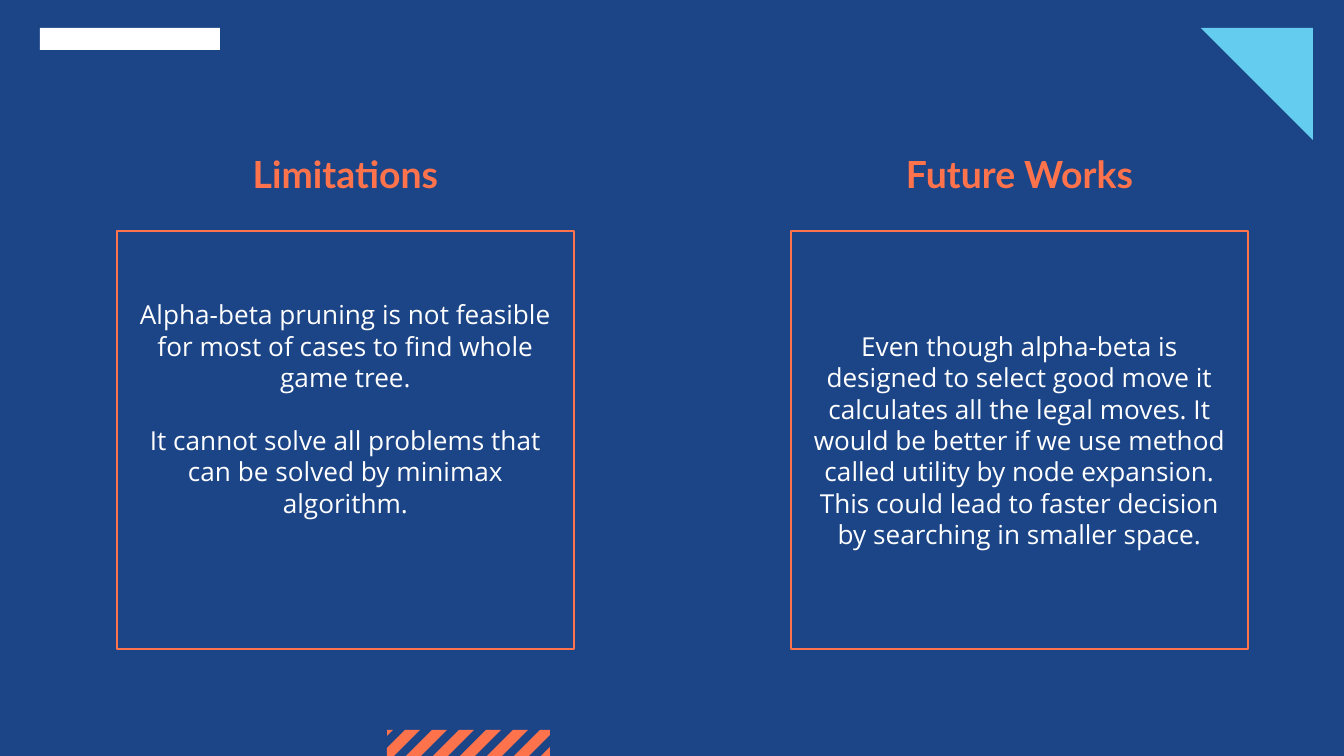
from pptx import Presentation
from pptx.dml.color import RGBColor
from pptx.enum.shapes import MSO_SHAPE as Preset
from pptx.enum.text import MSO_ANCHOR as Anchor, MSO_AUTO_SIZE as AutoSize, PP_ALIGN as Align
from pptx.oxml.ns import qn
from pptx.util import Emu, Pt
from lxml.etree import SubElement

UNIT = 9144000 / 1344
WIDTH, HEIGHT = 1344, 756
PADDING = 13

NAVY = RGBColor(0x1C, 0x45, 0x87)
CORAL = RGBColor(0xFF, 0x73, 0x4C)
SKY = RGBColor(0x64, 0xCC, 0xEF)
WHITE = RGBColor(0xFF, 0xFF, 0xFF)

HEADING_FONT = {"name": "Lato", "size": Pt(20), "bold": True}
BODY_FONT = {"name": "Open Sans", "size": Pt(14), "bold": False}

LIMITATIONS = [
    "Alpha-beta pruning is not feasible for most of cases to find whole game tree.",
    "It cannot solve all problems that can be solved by minimax algorithm.",
]
FUTURE_WORKS = [
    "Even though alpha-beta is designed to select good move it calculates all the legal moves. "
    "It would be better if we use method called utility by node expansion. "
    "This could lead to faster decision by searching in smaller space.",
]


def px(length):
    return Emu(round(length * UNIT))


def set_all(target, values):
    for key, value in values.items():
        setattr(target, key, value)


def paint(shape, color):
    shape.shadow.inherit = False
    shape.fill.solid()
    shape.fill.fore_color.rgb = color
    shape.line.fill.background()


def draw_outline(slide, points, color):
    builder = slide.shapes.build_freeform(*points[0], scale=UNIT)
    builder.add_line_segments(points[1:], close=True)
    paint(builder.convert_to_shape(), color)


def fill_text(holder, box, texts, font, color, spacing, bottom_padding=PADDING):
    set_all(holder, dict(zip(("left", "top", "width", "height"), map(px, box))))
    frame = holder.text_frame
    set_all(frame, {
        "word_wrap": True,
        "auto_size": AutoSize.NONE,
        "vertical_anchor": Anchor.MIDDLE,
        "margin_left": px(PADDING),
        "margin_right": px(PADDING),
        "margin_top": px(PADDING),
        "margin_bottom": px(bottom_padding),
    })
    frame.text = "\n".join(texts)
    for index, paragraph in enumerate(frame.paragraphs):
        set_all(paragraph, {
            "alignment": Align.CENTER,
            "line_spacing": spacing,
            "space_before": spacing if index else Pt(0),
            "space_after": Pt(0),
        })
        set_all(paragraph.font, font)
        paragraph.font.color.rgb = color
        run_font = paragraph.runs[0].font
        set_all(run_font, font)
        run_font.color.rgb = color
        properties = paragraph._p.get_or_add_pPr()
        properties.set("marL", "0")
        properties.set("indent", "0")
        bullet = SubElement(properties, qn("a:buNone"))
        properties.remove(bullet)
        properties.find(qn("a:spcAft")).addnext(bullet)


def fill_column(heading, body, box, title, texts, heading_inset=0, bottom_padding=PADDING):
    left, top, width, height = box
    heading_box = (left + heading_inset, top, width - 2 * heading_inset, 55)
    fill_text(heading, heading_box, [title], HEADING_FONT, CORAL, 1.0)
    body_box = (left, top + 85, width, height - 85)
    fill_text(body, body_box, texts, BODY_FONT, WHITE, Pt(16.8), bottom_padding)
    body.line.color.rgb = CORAL
    body.line.width = Pt(0.75)


def draw_corners(slide, left, top, right):
    bar = slide.shapes.add_shape(Preset.RECTANGLE, *map(px, (left, top, 180, 22)))
    paint(bar, WHITE)
    side = 112
    draw_outline(slide, [(right - side, top), (right, top), (right, top + side)], SKY)


def draw_stripes(slide, left, top, width, height, pitch=27, thickness=15):
    right, bottom = left + width, top + height

    def diagonal_point(start, x):
        x = min(max(x, left), right)
        return x, min(max(bottom - (x - start), top), bottom)

    for start in range(left - 36, right, pitch):
        end = start + thickness
        low_start, low_end = diagonal_point(start, start), diagonal_point(end, end)
        high_start = diagonal_point(start, start + height)
        high_end = diagonal_point(end, end + height)
        high_corner = (high_end[0], high_start[1])
        low_corner = (low_start[0], low_end[1])
        draw_outline(slide, [low_start, high_start, high_corner, high_end, low_end, low_corner], CORAL)


def main():
    deck = Presentation()
    deck.slide_width, deck.slide_height = px(WIDTH), px(HEIGHT)
    slide = deck.slides.add_slide(deck.slide_layouts[4])
    slide.background.fill.solid()
    slide.background.fill.fore_color.rgb = NAVY

    holders = {holder.placeholder_format.idx: holder for holder in slide.placeholders}
    unused = holders[1].element
    unused.getparent().remove(unused)

    draw_corners(slide, 40, 28, 1313)
    draw_stripes(slide, 387, 730, 163, 27)
    fill_column(holders[0], holders[2], (117, 146, 457, 503), "Limitations", LIMITATIONS,
                bottom_padding=76)
    fill_column(holders[3], holders[4], (791, 146, 457, 503), "Future Works", FUTURE_WORKS,
                heading_inset=25)
    deck.save("out.pptx")


if __name__ == "__main__":
    main()
